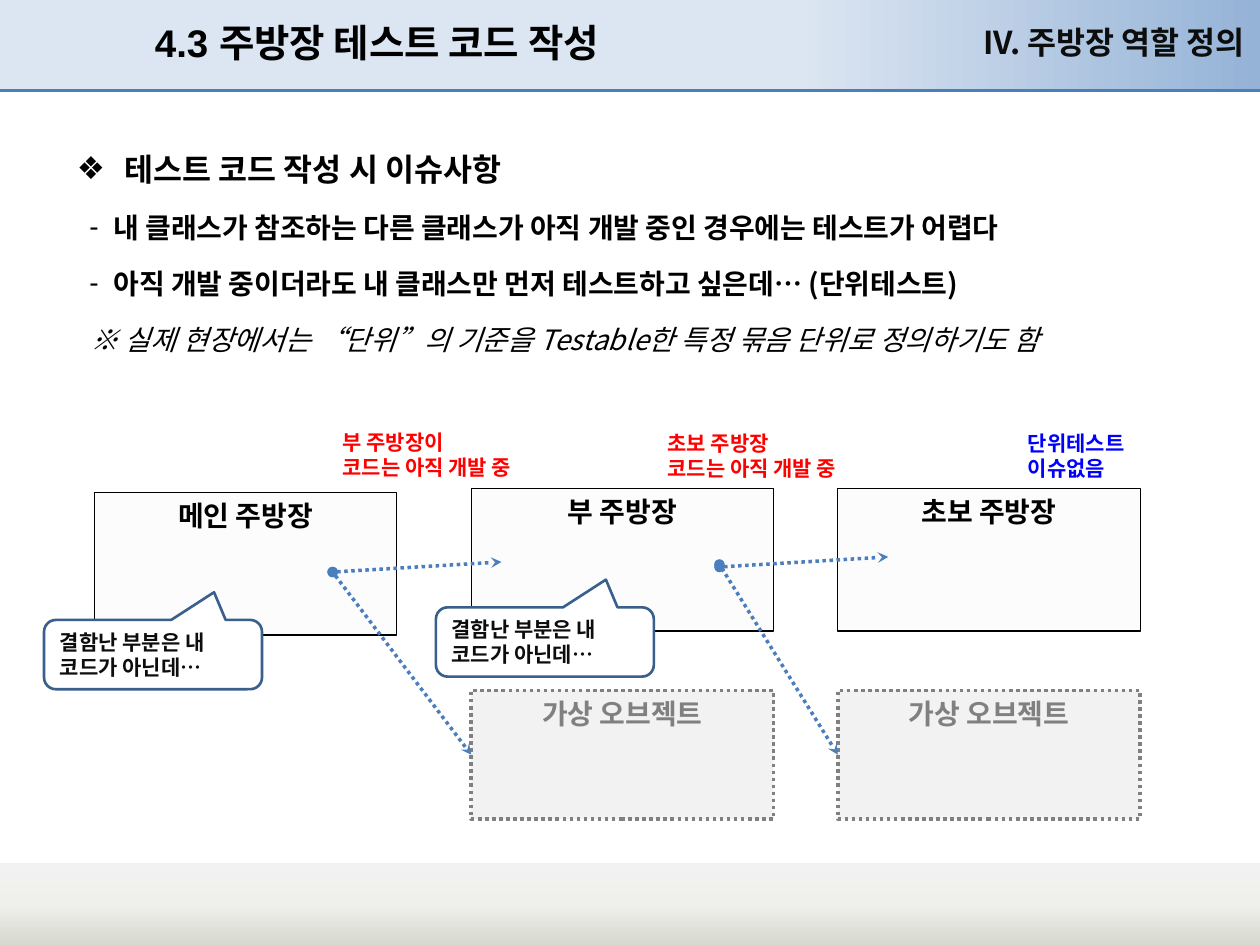
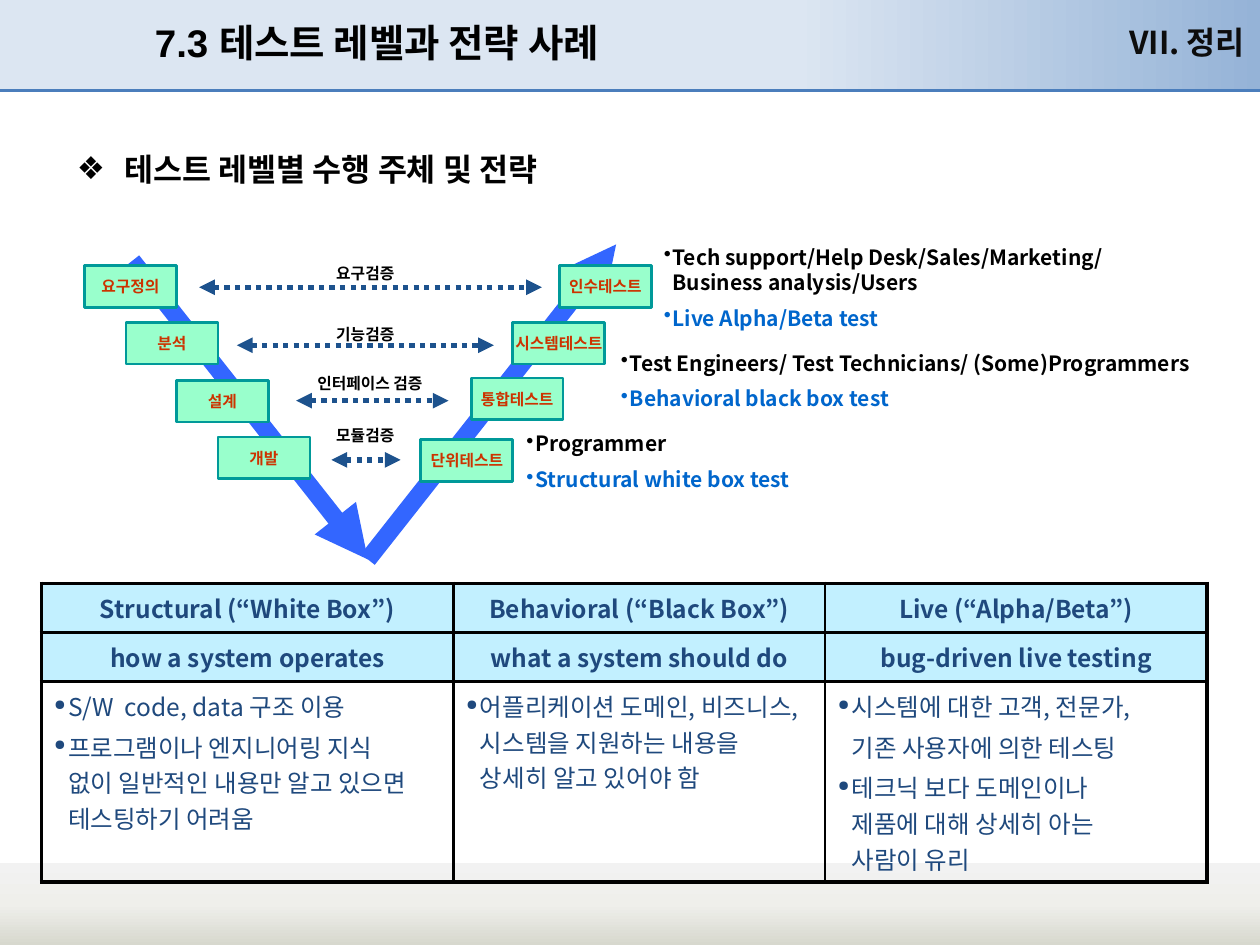
import pptx
import pptx.util
import pptx.dml.color
import pptx.enum.dml
import pptx.enum.shapes
import pptx.enum.text
import pptx.oxml
import pptx.oxml.ns
from lxml import etree

Inches, Pt = pptx.util.Inches, pptx.util.Pt
SHAPE = pptx.enum.shapes.MSO_SHAPE
ALIGN = pptx.enum.text.PP_ALIGN
ANCHOR = pptx.enum.text.MSO_ANCHOR
DOTTED = pptx.enum.dml.MSO_LINE.ROUND_DOT
qn = pptx.oxml.ns.qn

KOREAN, LATIN = "Noto Sans CJK KR", "Arial"
COLORS = {
    "black": "000000", "ink": "0D0D0D", "white": "FFFFFF", "rule": "4B7EBC",
    "class": "F2F2F2", "mock": "BFBFBF", "mock_edge": "808080", "callout": "3A5F8C",
    "warning": "FF0000", "clear": "0000FF", "strategy": "0066CC", "v_arm": "3366FF",
    "check": "1D528D", "level": "99FFCC", "level_edge": "009999", "level_text": "CC3300",
    "header": "C2F0FF", "table_text": "1F497D",
}
TOP_GRADIENT = [(0, "DCE6F2"), (63, "DCE6F2"), (100, "95B3D7")]
FOOT_GRADIENT = [(0, "F2F2F2"), (50, "EFEFEB"), (100, "D7D8CE")]


def rgb(name):
    return pptx.dml.color.RGBColor.from_string(COLORS[name])


def sub(parent, tag, **attributes):
    return etree.SubElement(parent, qn(tag), attributes)


def apply(target, **values):
    for key, value in values.items():
        setattr(target, key, value)


def place(item, left, top, width, height):
    apply(item, left=Inches(left), top=Inches(top), width=Inches(width), height=Inches(height))


def style_paragraph(paragraph, text, size, color="black", face=KOREAN, bold=True, italic=False,
                    bullet=None, bullet_size=None, margin=0, hang=0, **layout):
    paragraph.text = text
    apply(paragraph, **layout)
    properties = paragraph._p.get_or_add_pPr()
    properties.set("marL", str(Inches(margin)))
    properties.set("indent", str(-Inches(hang)))
    if bullet_size:
        sub(properties, "a:buSzPct", val=str(bullet_size * 1000))
    if bullet:
        sub(properties, "a:buChar", char=bullet)
    else:
        sub(properties, "a:buNone")
    for run in paragraph.runs:
        apply(run.font, size=Pt(size), bold=bold, italic=italic, name=face)
        run.font.color.rgb = rgb(color)
        sub(run._r.get_or_add_rPr(), "a:ea", typeface=KOREAN)


def write(frame, paragraphs, gap=0, **common):
    for index, entry in enumerate(paragraphs):
        paragraph = frame.paragraphs[0] if index == 0 else frame.add_paragraph()
        spacing = {"space_before": Pt(gap)} if index else {}
        style_paragraph(paragraph, **{**common, **spacing, **entry})


def add_text(slide, box, paragraphs, wrap=True, **common):
    area = slide.shapes.add_textbox(*map(Inches, box))
    area.text_frame.word_wrap = wrap
    write(area.text_frame, paragraphs, **common)
    return area


def add_box(slide, box, text, fill, edge, weight, kind=SHAPE.RECTANGLE, opacity=None,
            dash=None, anchor=ANCHOR.TOP, wrap=True, **style):
    shape = slide.shapes.add_shape(kind, *map(Inches, box))
    shape.shadow.inherit = False
    shape.fill.solid()
    shape.fill.fore_color.rgb = rgb(fill)
    if opacity:
        color = shape._element.spPr.find(qn("a:solidFill"))[0]
        sub(color, "a:alpha", val=str(opacity * 1000))
    shape.line.color.rgb = rgb(edge)
    apply(shape.line, width=Pt(weight), dash_style=dash)
    apply(shape.text_frame, word_wrap=wrap, vertical_anchor=anchor)
    write(shape.text_frame, [{"text": text}], **style)
    return shape


def add_line(slide, start, end, color, weight, dash=None, head=None, tail=None):
    line = slide.shapes.add_connector(
        pptx.enum.shapes.MSO_CONNECTOR.STRAIGHT, *map(Inches, (*start, *end)))
    line.line.color.rgb = rgb(color)
    apply(line.line, width=Pt(weight), dash_style=dash)
    outline = line.line._get_or_add_ln()
    for tag, kind in (("a:headEnd", head), ("a:tailEnd", tail)):
        if kind:
            sub(outline, tag, type=kind)
    sub(line._element.spPr, "a:effectLst")
    return line


def add_band(slide, box, stops, angle):
    band = slide.shapes.add_shape(SHAPE.RECTANGLE, *map(Inches, box))
    band.shadow.inherit = False
    band.line.fill.background()
    band.fill.gradient()
    band.fill.gradient_angle = angle
    stop_list = next(band._element.iter(qn("a:gsLst")))
    for stop in list(stop_list):
        stop_list.remove(stop)
    for position, color in stops:
        sub(sub(stop_list, "a:gs", pos=str(position * 1000)), "a:srgbClr", val=color)
    return band


def decorate_layout(layout, slide):
    decorations = [
        add_band(slide, (0, -0.01, 10, 0.73), TOP_GRADIENT, 0),
        add_band(slide, (0, 6.85, 10, 0.65), FOOT_GRADIENT, 270),
        add_line(slide, (0, 0.72), (10, 0.72), "rule", 2),
    ]
    for index, item in enumerate(decorations):
        next(item._element.iter(qn("p:cNvPr"))).set("id", str(100 + index))
        layout.shapes.element.insert(2 + index, item._element)


def fill_frame(slide, title, chapter, topics, body_height):
    heading, body = slide.placeholders
    place(heading, 1.13, 0.05, 5.91, 0.57)
    apply(heading.text_frame, vertical_anchor=ANCHOR.MIDDLE, word_wrap=True,
          auto_size=pptx.enum.text.MSO_AUTO_SIZE.NONE)
    write(heading.text_frame, [{"text": title}], size=22, face=LATIN, alignment=ALIGN.LEFT)
    place(body, 0.51, 0.99, 9.21, body_height)
    body.text_frame.auto_size = pptx.enum.text.MSO_AUTO_SIZE.NONE
    first, *rest = topics
    lead = {"text": first, "size": 18, "bullet": "❖", "margin": 0.38, "hang": 0.38,
            "space_before": Pt(0)}
    write(body.text_frame, [lead, *rest], gap=3.2, size=16, line_spacing=1.5)
    label = add_text(slide, (6.81, 0.13, 3.07, 0.39), [{"text": chapter}],
                     size=18, color="ink", alignment=ALIGN.RIGHT)
    apply(label.text_frame, margin_left=0, margin_right=0)


def draw_chef_classes(slide, left, top):
    def at(x, y, *size):
        return (left + x, top + y, *size)

    for x, y, chef in ((3.39, 0.52, "부 주방장"), (0.4, 0.55, "메인 주방장"),
                       (6.3, 0.52, "초보 주방장")):
        add_box(slide, at(x, y, 2.4, 1.13), chef, "class", "black", 0.75, opacity=20,
                size=16, alignment=ALIGN.CENTER)
    notes = (
        (7.71, 0.01, 1.04, "clear", "단위테스트", "이슈없음"),
        (4.85, 0.01, 2, "warning", "초보 주방장", "코드는 아직 개발 중"),
        (2.27, 0, 1.91, "warning", "부 주방장이", "코드는 아직 개발 중"),
    )
    for x, y, width, color, *lines in notes:
        add_text(slide, at(x, y, width, 0.5), [{"text": line} for line in lines],
                 size=12, color=color)
    for x, y in ((0, 1.56), (3.11, 1.46)):
        callout = add_box(slide, at(x, y, 1.73, 0.55), "결함난 부분은 내 코드가 아닌데…",
                          "white", "callout", 1.5, kind=SHAPE.ROUNDED_RECTANGULAR_CALLOUT,
                          anchor=ANCHOR.MIDDLE, size=12, color="ink", alignment=ALIGN.LEFT)
        for index, value in enumerate((0.28, -0.9, 0.17)):
            callout.adjustments[index] = value
    for x in (3.39, 6.3):
        add_box(slide, at(x, 2.12, 2.4, 1.02), "가상 오브젝트", "mock", "mock_edge", 2,
                opacity=20, dash=DOTTED, size=16, color="mock_edge", alignment=ALIGN.CENTER)
    calls = (((2.29, 1.18), (3.63, 1.1)), ((5.36, 1.14), (6.7, 1.06)),
             ((2.29, 1.18), (3.39, 2.63)), ((5.36, 1.12), (6.3, 2.63)))
    for caller, target in calls:
        add_line(slide, at(*caller), at(*target), "rule", 2, DOTTED, "oval", "stealth")


def draw_v_model(slide, left, top):
    def at(x, y, *size):
        return (left + x, top + y, *size)

    strategies = (
        (3.41, 1.48, 2.92, 0.61, "Programmer", "Structural white box test"),
        (4.16, 0.84, 4.83, 0.61, "Test Engineers/ Test Technicians/ (Some)Programmers",
         "Behavioral black box test"),
        (4.5, 0, 4.67, 0.81, "Tech support/Help Desk/Sales/Marketing/\vBusiness analysis/Users",
         "Live Alpha/Beta test"),
    )
    for x, y, width, height, who, how in strategies:
        add_text(slide, at(x, y, width, height), [{"text": who}, {"text": how, "color": "strategy"}],
                 gap=6, size=12, bullet="•", margin=0.07, hang=0.07)
    bottom = (2.25, 2.55)
    for start, end in ((bottom, (4.22, 0.05)), ((0.38, 0.18), bottom)):
        add_line(slide, at(*start), at(*end), "v_arm", 10, tail="triangle")
    levels = (
        (0, 0.22, "요구정의"), (0.33, 0.67, "분석"), (0.73, 1.13, "설계"), (1.06, 1.58, "개발"),
        (3.77, 0.22, "인수테스트"), (3.4, 0.67, "시스템테스트"),
        (3.07, 1.11, "통합테스트"), (2.67, 1.6, "단위테스트"),
    )
    for x, y, level in levels:
        add_box(slide, at(x, y, 0.73, 0.33), level, "level", "level_edge", 1.5,
                anchor=ANCHOR.MIDDLE, wrap=False, size=9, face=LATIN, color="level_text",
                alignment=ALIGN.CENTER)
    checks = (
        (0.91, 3.63, 0.39, 1.9, 0.15, 0.71, "요구검증"),
        (1.21, 3.25, 0.85, 1.9, 0.64, 0.71, "기능검증"),
        (1.68, 2.89, 1.29, 1.75, 1.03, 1.12, "인터페이스 검증"),
        (1.96, 2.51, 1.76, 1.9, 1.44, 0.71, "모듈검증"),
    )
    for start, end, y, label_x, label_y, width, check in checks:
        add_line(slide, at(start, y), at(end, y), "check", 3, DOTTED, "triangle", "triangle")
        add_text(slide, at(label_x, label_y, width, 0.25), [{"text": check}], wrap=False,
                 size=9, face=LATIN)


def border_cell(cell, weights):
    properties = cell._tc.get_or_add_tcPr()
    for index, (side, weight) in enumerate(weights.items()):
        edge = etree.Element(qn("a:" + side), w=str(Pt(weight)))
        sub(sub(edge, "a:solidFill"), "a:srgbClr", val=COLORS["black"])
        properties.insert(index, edge)


def add_strategy_table(slide, left, top):
    dot = {"bullet": "●", "bullet_size": 60, "margin": 0.11, "hang": 0.11}
    headers = (
        ("Structural (“White Box”)", "Behavioral (“Black Box”)", "Live (“Alpha/Beta”)"),
        ("how a system operates", "what a system should do", "bug-driven live testing"),
    )
    details = (
        [{"text": "S/W  code, data 구조 이용", **dot},
         {"text": "프로그램이나 엔지니어링 지식\v없이 일반적인 내용만 알고 있으면\v테스팅하기 어려움", **dot}],
        [{"text": "어플리케이션 도메인, 비즈니스, 시스템을 지원하는 내용을 상세히 알고 있어야 함", **dot}],
        [{"text": "시스템에 대한 고객, 전문가,", **dot},
         {"text": "기존 사용자에 의한 테스팅", "margin": 0.11},
         {"text": "테크닉 보다 도메인이나\v제품에 대해 상세히 아는\v사람이 유리", **dot}],
    )
    widths, heights = (3.27, 2.95, 3.03), (0.39, 0.39, 1.59)
    table = slide.shapes.add_table(
        3, 3, *map(Inches, (left, top, sum(widths), sum(heights)))).table
    for column, width in zip(table.columns, widths):
        column.width = Inches(width)
    for r, height in enumerate(heights):
        table.rows[r].height = Inches(height)
        for c in range(3):
            cell = table.cell(r, c)
            if r < 2:
                cell.fill.solid()
                cell.fill.fore_color.rgb = rgb("header")
                cell.vertical_anchor = ANCHOR.MIDDLE
                write(cell.text_frame, [{"text": headers[r][c]}], size=14, color="table_text",
                      alignment=ALIGN.CENTER)
            else:
                cell.fill.background()
                write(cell.text_frame, details[c], gap=2.8, size=14, color="table_text", bold=False)
            outer = {"lnL": c == 0, "lnR": c == 2, "lnT": r == 0, "lnB": r == 2}
            border_cell(cell, {side: 2.25 if edge else 1.5 for side, edge in outer.items()})


def build_chef_slide(slide):
    dash = {"bullet": "-", "margin": 0.29, "hang": 0.19}
    topics = [
        "테스트 코드 작성 시 이슈사항",
        {"text": "내 클래스가 참조하는 다른 클래스가 아직 개발 중인 경우에는 테스트가 어렵다", **dash},
        {"text": "아직 개발 중이더라도 내 클래스만 먼저 테스트하고 싶은데… (단위테스트)", **dash},
        {"text": "※ 실제 현장에서는 “단위”의 기준을 Testable한 특정 묶음 단위로 정의하기도 함",
         "margin": 0.11, "bold": False, "italic": True},
    ]
    fill_frame(slide, "4.3 주방장 테스트 코드 작성", "IV. 주방장 역할 정의", topics, 2.2)
    draw_chef_classes(slide, 0.35, 3.36)


def build_level_slide(slide):
    fill_frame(slide, "7.3 테스트 레벨과 전략 사례", "VII. 정리",
               ["테스트 레벨별 수행 주체 및 전략"], 5.75)
    add_strategy_table(slide, 0.33, 4.63)
    draw_v_model(slide, 0.67, 1.89)


def main():
    deck = pptx.Presentation()
    apply(deck, slide_width=Inches(10), slide_height=Inches(7.5))
    layout = deck.slide_layouts[1]
    chef_slide, level_slide = (deck.slides.add_slide(layout) for _ in range(2))
    decorate_layout(layout, chef_slide)
    build_chef_slide(chef_slide)
    build_level_slide(level_slide)
    deck.save("out.pptx")


if __name__ == "__main__":
    main()
